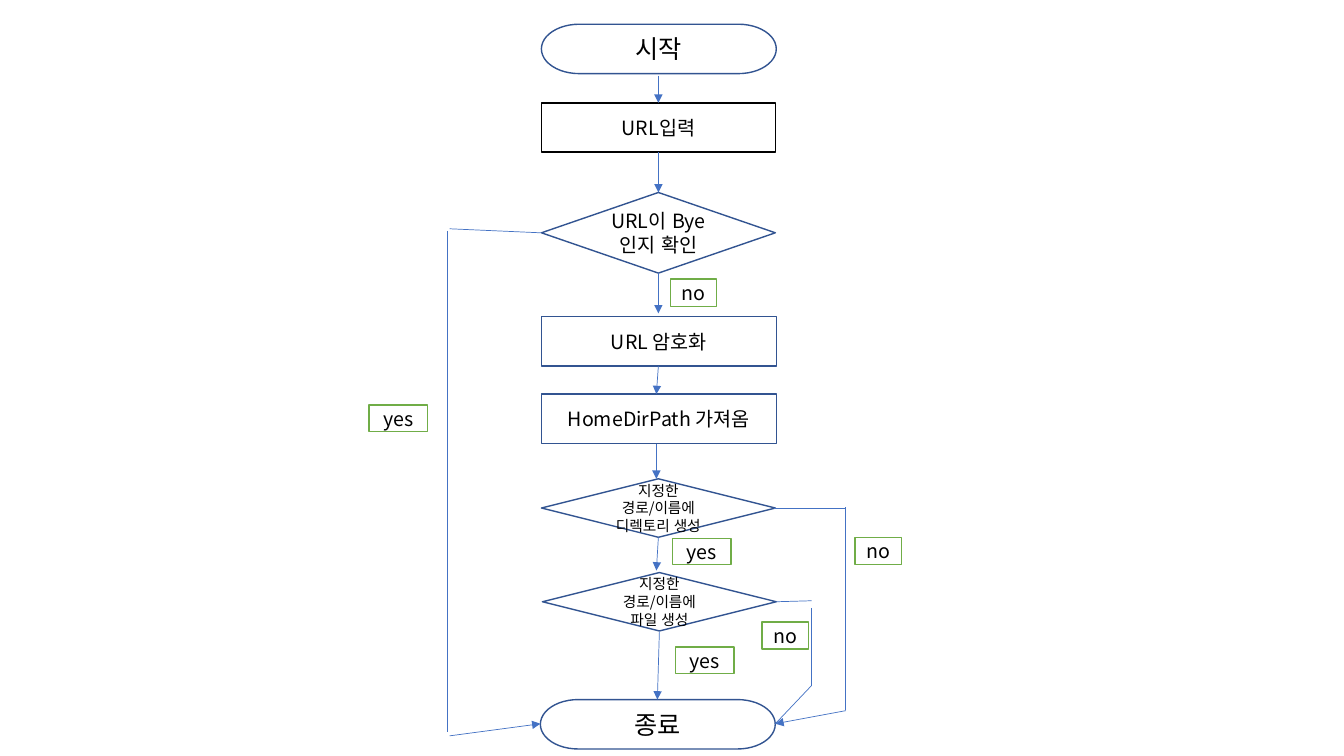
from dataclasses import dataclass
from lxml import etree
from pptx import Presentation
from pptx import util as u
from pptx.dml.color import RGBColor
from pptx.enum import lang, shapes, text
from pptx.oxml.ns import qn

FONT = "Noto Sans CJK KR"
SHAPE = shapes.MSO_SHAPE
NAVY, BLUE, GREEN, BLACK, WHITE = "325491", "4472C4", "70AD47", "000000", "FFFFFF"


@dataclass
class Step:
    words: str
    left: float
    top: float
    width: float = 2.33
    height: float = 0.49
    kind: int = SHAPE.FLOWCHART_PROCESS
    size: float = 14
    border: str = NAVY


@dataclass
class Link:
    x1: float
    y1: float
    x2: float
    y2: float
    arrow: bool = True


def rgb(value: str) -> RGBColor:
    return RGBColor.from_string(value)


def terminator(words: str, left: float, top: float) -> Step:
    return Step(words, left, top, kind=SHAPE.FLOWCHART_TERMINATOR, size=18)


def decision(words: str, left: float, top: float, height: float = 0.58, size: float = 10.5) -> Step:
    return Step(words, left, top, 2.32, height, SHAPE.FLOWCHART_DECISION, size)


def answer(words: str, left: float, top: float) -> Step:
    width, height = (0.58, 0.26) if words == "yes" else (0.46, 0.27)
    return Step(words, left, top, width, height, SHAPE.RECTANGLE, border=GREEN)


def draw_step(s, step: Step) -> None:
    sp = s.shapes.add_shape(step.kind, u.Inches(step.left), u.Inches(step.top),
                            u.Inches(step.width), u.Inches(step.height))
    sp.shadow.inherit = False
    sp.fill.solid()
    sp.fill.fore_color.rgb = rgb(WHITE)
    sp.line.color.rgb = rgb(step.border)
    sp.line.width = u.Pt(1)
    tf = sp.text_frame
    tf.word_wrap = True
    tf.vertical_anchor = text.MSO_ANCHOR.MIDDLE
    p = tf.paragraphs[0]
    p.text = step.words
    p.alignment = text.PP_ALIGN.CENTER
    p.font.size = u.Pt(step.size)
    p.font.color.rgb = rgb(BLACK)
    p.font.name = FONT
    p.font.language_id = lang.MSO_LANGUAGE_ID.KOREAN
    latin = p._p.pPr.find(qn("a:defRPr")).find(qn("a:latin"))
    ea = etree.Element(qn("a:ea"), typeface=FONT)
    latin.addnext(ea)


def draw_link(s, link: Link) -> None:
    cx = s.shapes.add_connector(shapes.MSO_CONNECTOR.STRAIGHT, u.Inches(link.x1), u.Inches(link.y1),
                                u.Inches(link.x2), u.Inches(link.y2))
    cx.line.color.rgb = rgb(BLUE)
    cx.line.width = u.Pt(0.5)
    if link.arrow:
        etree.SubElement(cx.line._get_or_add_ln(), qn("a:tailEnd"), type="triangle")
    etree.SubElement(cx._element.spPr, qn("a:effectLst"))


STEPS = [
    terminator("시작", 5.37, 0.24),
    Step("URL입력", 5.37, 1.02, 2.32, kind=SHAPE.RECTANGLE, border=BLACK),
    decision("URL이 Bye인지 확인", 5.37, 1.91, 0.8, 14),
    Step("URL 암호화", 5.37, 3.14),
    Step("HomeDirPath 가져옴", 5.37, 3.91),
    decision("지정한 경로/이름에 디렉토리 생성", 5.37, 4.75),
    decision("지정한 경로/이름에 파일 생성", 5.38, 5.68),
    terminator("종료", 5.36, 6.94),
]
ANSWERS = [
    answer("no", 6.65, 2.77),
    answer("yes", 3.66, 4.02),
    answer("no", 8.48, 5.33),
    answer("no", 7.56, 6.17),
    answer("yes", 6.67, 5.34),
    answer("yes", 6.7, 6.42),
]
MAIN_FLOW = [
    Link(6.53, 0.75, 6.53, 1.02),
    Link(6.53, 1.51, 6.53, 1.91),
    Link(6.53, 2.71, 6.53, 3.11),
    Link(6.53, 3.63, 6.51, 3.91),
    Link(6.51, 4.4, 6.51, 4.75),
    Link(6.53, 5.33, 6.51, 5.66),
    Link(6.54, 6.27, 6.52, 6.94),
]
BYE_EXIT = [
    Link(5.37, 2.31, 4.46, 2.27, False),
    Link(4.44, 2.29, 4.44, 7.26, False),
    Link(4.46, 7.3, 5.36, 7.18),
]
DIRECTORY_EXIT = [
    Link(7.68, 5.04, 8.39, 5.04, False),
    Link(8.38, 5.03, 8.38, 7.04, False),
    Link(8.39, 7.05, 7.69, 7.18),
]
FILE_EXIT = [
    Link(7.7, 5.97, 8.05, 5.96, False),
    Link(8.05, 6.03, 8.05, 6.81, False),
    Link(8.05, 6.8, 7.69, 7.18, False),
]

prs = Presentation()
prs.slide_width, prs.slide_height = u.Inches(13.33), u.Inches(7.5)
s = prs.slides.add_slide(prs.slide_layouts[6])
for step in STEPS:
    draw_step(s, step)
for link in MAIN_FLOW + BYE_EXIT + DIRECTORY_EXIT + FILE_EXIT:
    draw_link(s, link)
for step in ANSWERS:
    draw_step(s, step)
prs.save("out.pptx")
